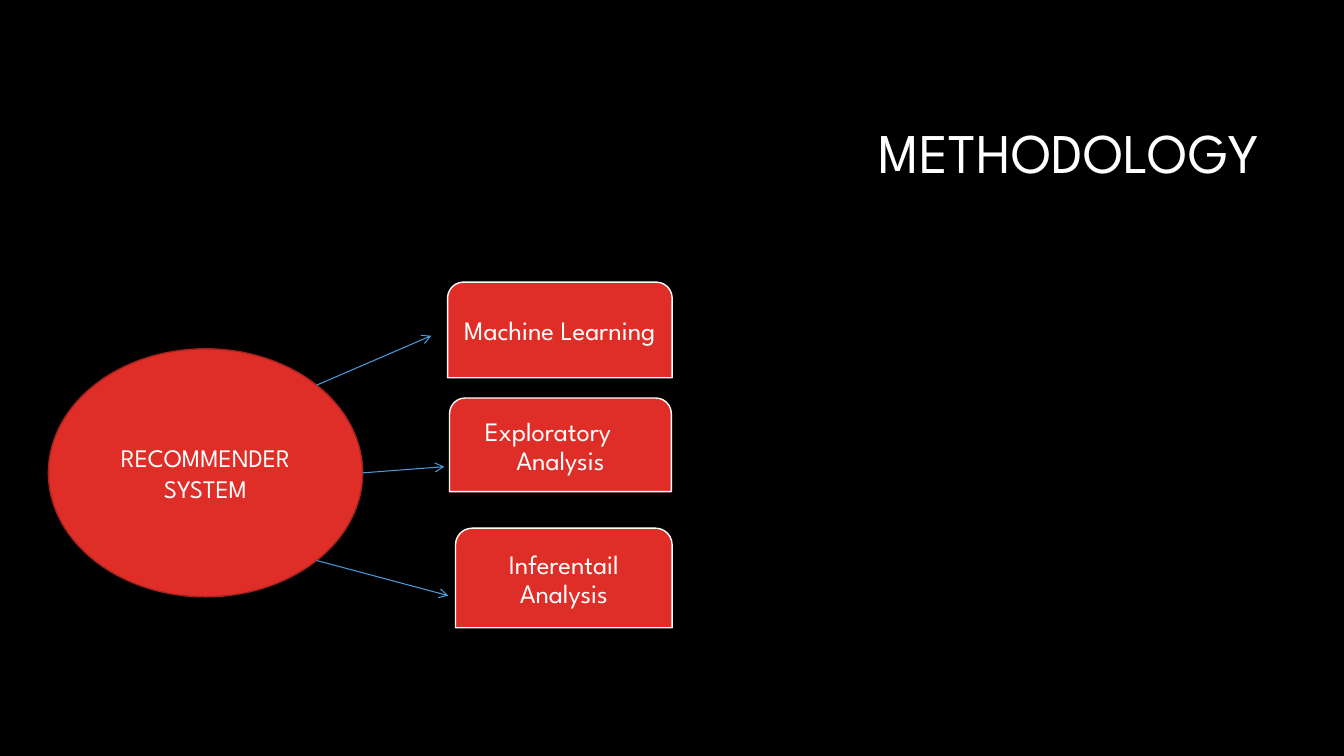
import math
from dataclasses import dataclass

from lxml import etree
from pptx import Presentation
from pptx import util as u
from pptx.dml.color import RGBColor
from pptx.enum import shapes, text
from pptx.oxml import ns


@dataclass(frozen=True)
class Theme:
    font: str = "League Spartan"
    background: str = "000000"
    ink: str = "FFFFFF"
    fill: str = "DF2E28"
    system_edge: str = "A5221E"
    arrow: str = "4A9BDC"
    title_size: float = 40
    method_size: float = 19
    system_size: float = 18
    edge_width: float = 1
    arrow_width: float = 0.75


THEME = Theme()

# Left, top, width, height in centimetres
TITLE_AREA = (8.05, 2.13, 23.93, 3.58)
SYSTEM_AREA = (1.22, 8.79, 7.92, 6.25)

# Wording, box area, arrow tip, angle on the ellipse where the arrow starts
METHODS = [
    ("Machine Learning", (11.28, 7.11, 5.66, 2.41), (10.87, 8.46), -45),
    ("Exploratory\tAnalysis", (11.33, 10.03, 5.59, 2.36), (11.2, 11.76), 0),
    ("Inferentail Analysis", (11.48, 13.31, 5.46, 2.51), (11.3, 15.01), 45),
]
METHOD_FRAME = {
    "margin_left": u.Cm(0.2),
    "margin_right": u.Cm(0.2),
    "margin_top": u.Cm(0.08),
    "margin_bottom": u.Cm(0.08),
}


def apply(target, values):
    for name, value in values.items():
        setattr(target, name, value)


def lengths(values):
    return [u.Cm(value) for value in values]


def write(frame, wording, size, align, spacing=1.0, frame_format=None):
    apply(frame, {
        "text": wording,
        "word_wrap": True,
        "vertical_anchor": text.MSO_ANCHOR.MIDDLE,
        **(frame_format or {}),
    })
    paragraph = frame.paragraphs[0]
    apply(paragraph, {"alignment": align, "line_spacing": spacing})
    font = paragraph.runs[0].font
    apply(font, {"name": THEME.font, "size": u.Pt(size)})
    font.color.rgb = RGBColor.from_string(THEME.ink)


def add_title(slide, wording):
    title = slide.shapes.title
    apply(title, dict(zip(("left", "top", "width", "height"), lengths(TITLE_AREA))))
    write(title.text_frame, wording, THEME.title_size, text.PP_ALIGN.RIGHT, 0.9)


def add_node(slide, preset, area, edge):
    node = slide.shapes.add_shape(preset, *lengths(area))
    node.shadow.inherit = False
    node.fill.solid()
    node.fill.fore_color.rgb = RGBColor.from_string(THEME.fill)
    node.line.color.rgb = RGBColor.from_string(edge)
    node.line.width = u.Pt(THEME.edge_width)
    return node


def add_system(slide, wording):
    system = add_node(slide, shapes.MSO_SHAPE.OVAL, SYSTEM_AREA, THEME.system_edge)
    write(system.text_frame, wording, THEME.system_size, text.PP_ALIGN.CENTER)


def add_method(slide, wording, area):
    method = add_node(slide, shapes.MSO_SHAPE.ROUND_2_SAME_RECTANGLE, area, THEME.ink)
    write(method.text_frame, wording, THEME.method_size, text.PP_ALIGN.CENTER,
          0.9, METHOD_FRAME)


def system_edge_point(degrees):
    """Point on the ellipse, with the angle measured clockwise from the right."""
    left, top, width, height = SYSTEM_AREA
    angle = math.radians(degrees)
    return (left + width / 2 * (1 + math.cos(angle)),
            top + height / 2 * (1 + math.sin(angle)))


def add_arrow(slide, start, tip):
    arrow = slide.shapes.add_connector(
        shapes.MSO_CONNECTOR.STRAIGHT, *lengths(start + tip))
    arrow.line.color.rgb = RGBColor.from_string(THEME.arrow)
    arrow.line.width = u.Pt(THEME.arrow_width)
    etree.SubElement(arrow.line._get_or_add_ln(), ns.qn("a:tailEnd"), type="arrow")
    etree.SubElement(arrow._element.spPr, ns.qn("a:effectLst"))


def main():
    deck = Presentation()
    apply(deck, {"slide_width": u.Cm(33.87), "slide_height": u.Cm(19.05)})
    slide = deck.slides.add_slide(deck.slide_layouts.get_by_name("Title Only"))
    slide.background.fill.solid()
    slide.background.fill.fore_color.rgb = RGBColor.from_string(THEME.background)

    add_title(slide, "METHODOLOGY")
    add_system(slide, "RECOMMENDER SYSTEM")
    for wording, area, tip, angle in METHODS:
        add_method(slide, wording, area)
        add_arrow(slide, system_edge_point(angle), tip)

    deck.save("out.pptx")


if __name__ == "__main__":
    main()
